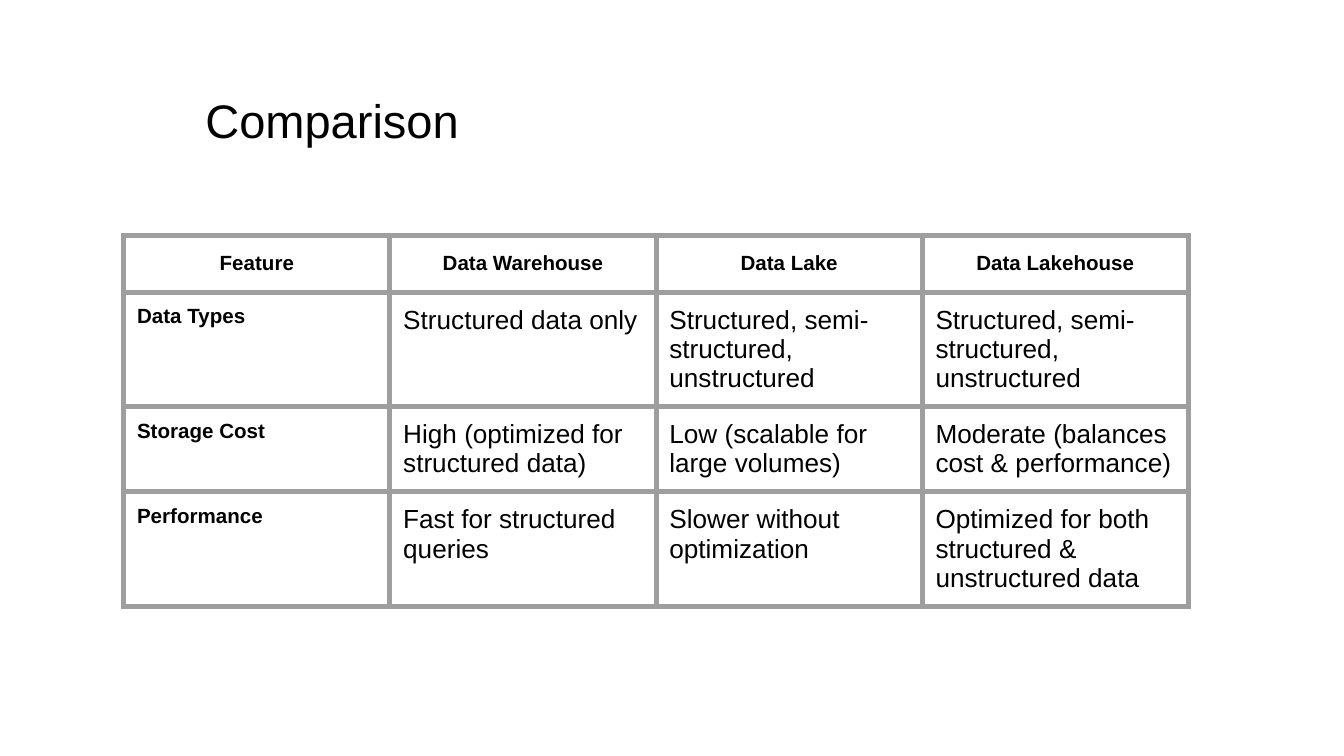
from dataclasses import dataclass

from lxml import etree
from pptx import Presentation
from pptx import util as u
from pptx.dml import color
from pptx.enum import text
from pptx.oxml import ns


@dataclass(frozen=True)
class Theme:
    face: str = "Arial"
    ink: str = "000000"
    rule: str = "9E9E9E"
    line: float = 3
    title: float = 25.2
    label: float = 11
    body: float = 14
    pad: float = 0.25


THEME = Theme()

ROWS = [
    ["Feature", "Data Warehouse", "Data Lake", "Data Lakehouse"],
    ["Data Types", "Structured data only",
     "Structured, semi-structured, unstructured",
     "Structured, semi-structured, unstructured"],
    ["Storage Cost", "High (optimized for structured data)",
     "Low (scalable for large volumes)",
     "Moderate (balances cost & performance)"],
    ["Performance", "Fast for structured queries",
     "Slower without optimization",
     "Optimized for both structured & unstructured data"],
]


def style(para, size, bold=False):
    for run in para.runs:
        font = run.font
        font.name = THEME.face
        font.size = u.Pt(size)
        font.bold = bold
        font.color.rgb = color.RGBColor.from_string(THEME.ink)


def pad(item):
    item.margin_left = item.margin_right = u.Cm(THEME.pad)
    item.margin_top = item.margin_bottom = u.Cm(THEME.pad)
    item.vertical_anchor = text.MSO_ANCHOR.TOP


def border(cell):
    props = cell._tc.get_or_add_tcPr()
    for side in ("lnL", "lnR", "lnT", "lnB"):
        line = etree.SubElement(props, ns.qn(f"a:{side}"), w=str(u.Pt(THEME.line)))
        fill = etree.SubElement(line, ns.qn("a:solidFill"))
        etree.SubElement(fill, ns.qn("a:srgbClr"), val=THEME.rule)


def add_title(slide, words, left, top, width, height):
    title = slide.shapes.title
    title.left, title.top = u.Cm(left), u.Cm(top)
    title.width, title.height = u.Cm(width), u.Cm(height)
    frame = title.text_frame
    frame.text = words
    frame.word_wrap = True
    frame.auto_size = text.MSO_AUTO_SIZE.NONE
    pad(frame)
    para = frame.paragraphs[0]
    para.alignment = text.PP_ALIGN.LEFT
    style(para, THEME.title)


def add_grid(slide, rows, left, top, width, height):
    grid = slide.shapes.add_table(
        len(rows), len(rows[0]),
        u.Cm(left), u.Cm(top), u.Cm(width), u.Cm(height)).table
    grid.first_row = grid.horz_banding = False
    for r, row in enumerate(rows):
        for c, words in enumerate(row):
            cell = grid.cell(r, c)
            cell.text = words
            pad(cell)
            border(cell)
            cell.fill.background()
            para = cell.text_frame.paragraphs[0]
            label = r == 0 or c == 0
            style(para, THEME.label if label else THEME.body, label)
            if r == 0:
                para.alignment = text.PP_ALIGN.CENTER
                para.line_spacing = 1.15


def main():
    deck = Presentation()
    deck.slide_width, deck.slide_height = u.Cm(25.4), u.Cm(14.29)
    slide = deck.slides.add_slide(deck.slide_layouts[5])
    add_title(slide, "Comparison", 3.63, 1.47, 23.67, 1.6)
    add_grid(slide, ROWS, 2.34, 4.45, 20.12, 4.28)
    deck.save("out.pptx")


if __name__ == "__main__":
    main()
